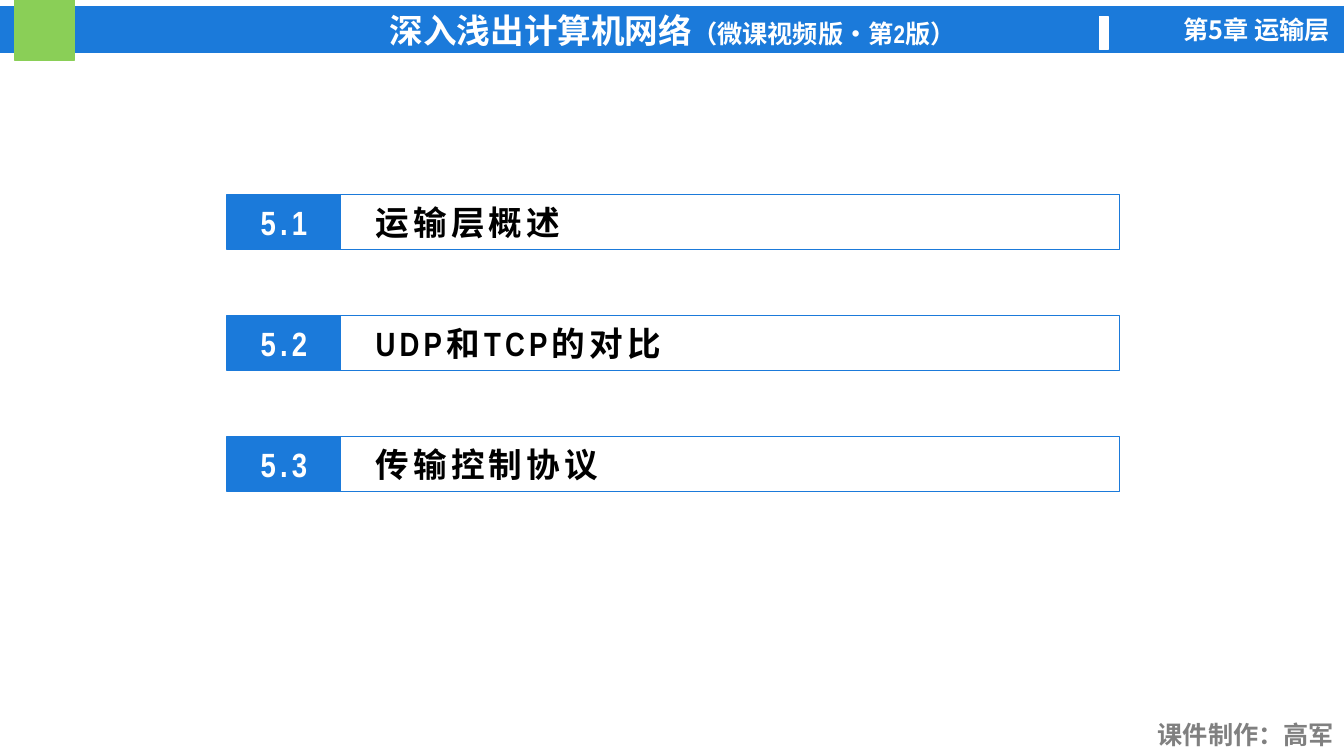
from lxml import etree
from pptx import Presentation
from pptx.dml.color import RGBColor
from pptx.enum.shapes import MSO_SHAPE
from pptx.enum.text import MSO_ANCHOR, PP_ALIGN
from pptx.oxml.ns import qn
from pptx.util import Pt

RECT = MSO_SHAPE.RECTANGLE
MIDDLE = MSO_ANCHOR.MIDDLE
LEFT, CENTER, RIGHT = PP_ALIGN.LEFT, PP_ALIGN.CENTER, PP_ALIGN.RIGHT
COLORS = {"blue": "1B7ADA", "green": "8ACF57", "white": "FFFFFF",
          "gray": "808080", "black": "000000"}
LATIN, CJK = "Arial Narrow", "Noto Sans CJK SC"
SECTIONS = ["运输层概述", "UDP和TCP的对比", "传输控制协议"]


def color(name):
    return RGBColor.from_string(COLORS[name])


def add_rect(slide, x, y, w, h, fill, line):
    sp = slide.shapes.add_shape(RECT, Pt(x), Pt(y), Pt(w), Pt(h))
    sp.shadow.inherit = False
    if fill:
        sp.fill.solid()
        sp.fill.fore_color.rgb = color(fill)
    else:
        sp.fill.background()
    sp.line.color.rgb = color(line)
    sp.line.width = Pt(1)
    sp.text_frame.vertical_anchor = MIDDLE
    return sp


def write(sp, runs, ink, align, font=LATIN, spacing=0):
    p = sp.text_frame.paragraphs[0]
    p.alignment = align
    p.font.name = font
    p.font.bold = True
    p.font.color.rgb = color(ink)
    for text, size in runs:
        r = p.add_run()
        r.text = text
        r.font.size = Pt(size)
        rPr = r._r.get_or_add_rPr()
        rPr.set("spc", str(spacing * 100))
        etree.SubElement(rPr, qn("a:ea")).set("typeface", CJK)


def add_label(slide, x, y, w, text, ink, font):
    sp = slide.shapes.add_textbox(Pt(x), Pt(y), Pt(w), Pt(29))
    sp.text_frame.word_wrap = True
    write(sp, [(text, 18)], ink, RIGHT, font)


def add_header(slide):
    bar = add_rect(slide, 0, 5, 961, 32.5, "blue", "blue")
    write(bar, [("深入浅出计算机网络", 24), ("（微课视频版•第2版）", 18)], "white", CENTER)
    add_rect(slide, 10.2, 0, 43, 43, "green", "green")
    add_rect(slide, 785.5, 11.8, 6, 23.5, "white", "white")
    add_label(slide, 800, 7, 157, "第5章 运输层", "white", CJK)


def add_section(slide, y, number, title):
    tag = add_rect(slide, 162.3, y, 81, 39.4, "blue", "blue")
    write(tag, [(number, 24)], "white", CENTER, spacing=3)
    box = add_rect(slide, 243.3, y, 556.5, 39.4, None, "blue")
    box.text_frame.margin_left = Pt(25)
    write(box, [(title, 24)], "black", LEFT, spacing=3)


def main():
    prs = Presentation()
    prs.slide_width, prs.slide_height = Pt(960), Pt(540)
    slide = prs.slides.add_slide(prs.slide_layouts[6])
    add_header(slide)
    for i, title in enumerate(SECTIONS):
        add_section(slide, 138.8 + 86.4 * i, f"5.{i + 1}", title)
    add_label(slide, 816.5, 510.5, 143.5, "课件制作：高军", "gray", LATIN)
    prs.save("out.pptx")


if __name__ == "__main__":
    main()
